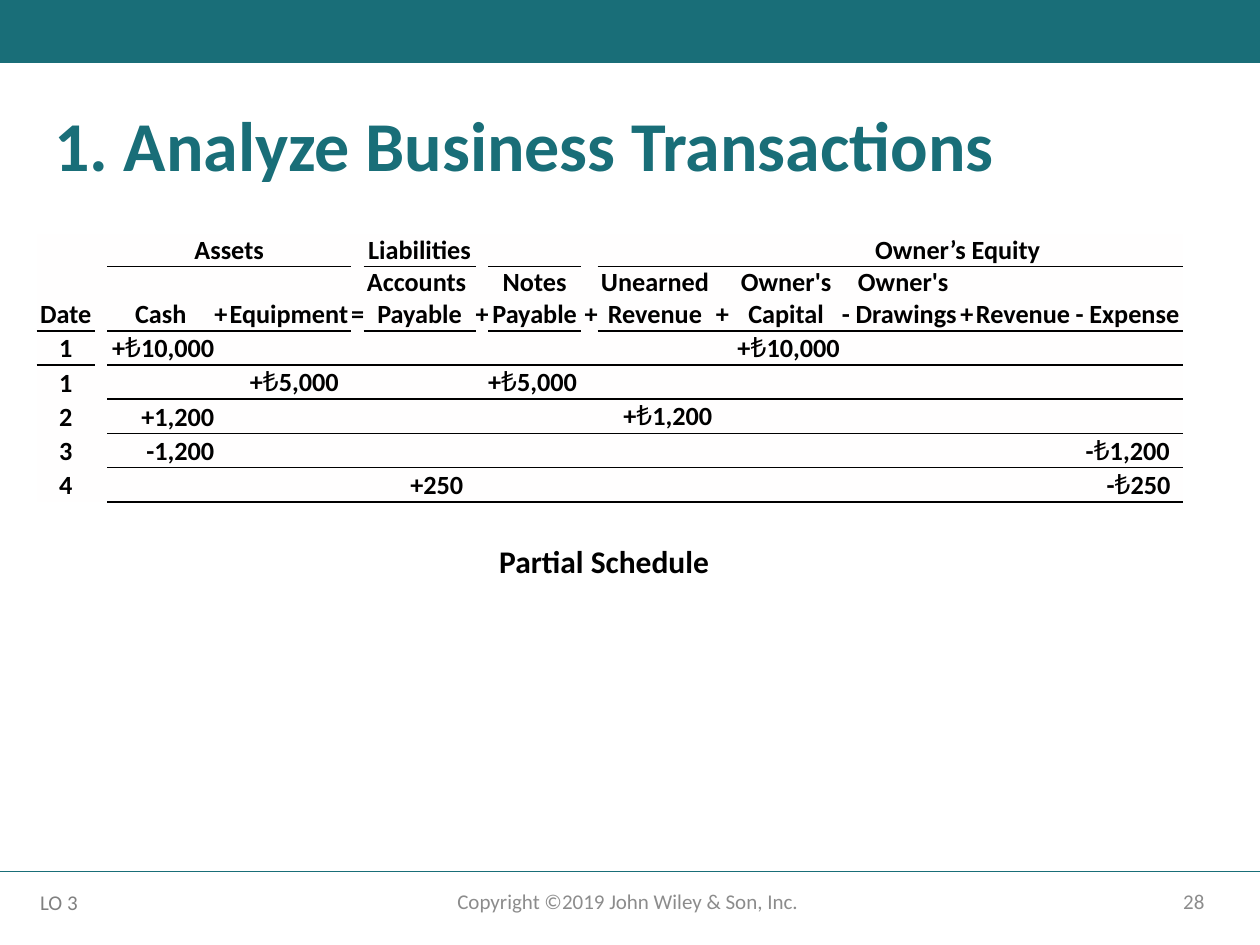
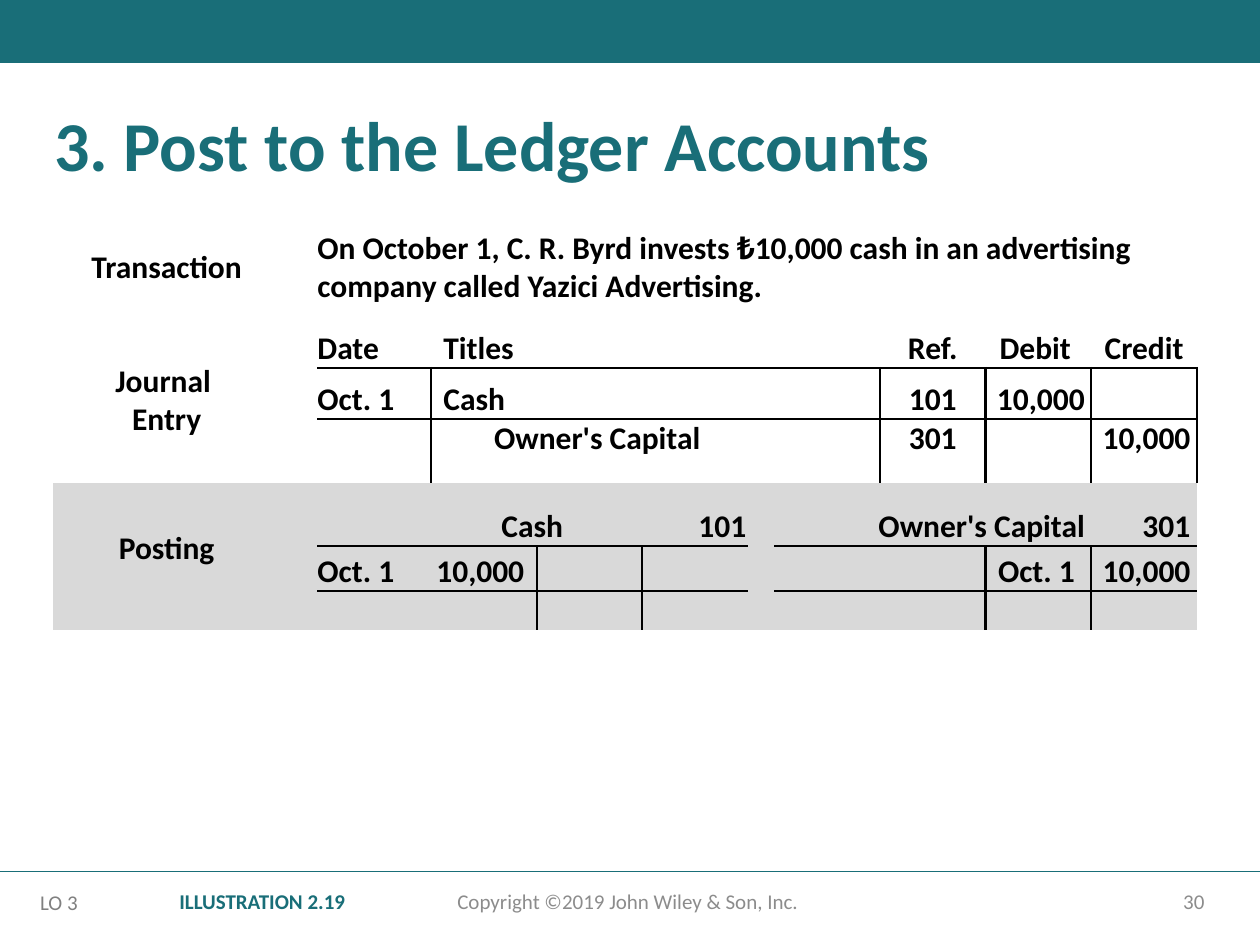
from lxml import etree
from pptx import Presentation
from pptx import util as u
from pptx.dml.color import RGBColor
from pptx.enum import shapes, text
from pptx.oxml.ns import qn

COLOURS = {
    "teal": "196E78",
    "black": "000000",
    "footer": "8C8C8C",
    "objective": "808080",
    "paper": "FFFEFE",
    "posting": "D9D9D9",
}
FONT = "Calibri"
NO_STYLE = "{2D5ABB26-0587-4C30-8999-92F81FD0307C}"
LEFT, CENTER, RIGHT = text.PP_ALIGN.LEFT, text.PP_ALIGN.CENTER, text.PP_ALIGN.RIGHT
TOP, MIDDLE, BOTTOM = text.MSO_ANCHOR.TOP, text.MSO_ANCHOR.MIDDLE, text.MSO_ANCHOR.BOTTOM


def write(frame, words, size, colour="black", bold=True, align=LEFT):
    frame.word_wrap = True
    frame.text = words
    for paragraph in frame.paragraphs:
        paragraph.alignment = align
        paragraph.font.name = FONT
        paragraph.font.size = u.Pt(size)
        paragraph.font.bold = bold
        paragraph.font.color.rgb = RGBColor.from_string(COLOURS[colour])


def rule(cell, side, width):
    line = etree.Element(qn("a:ln" + side), w=str(u.Pt(width)))
    fill = etree.SubElement(line, qn("a:solidFill"))
    etree.SubElement(fill, qn("a:srgbClr"), val=COLOURS["black"])
    cell._tc.get_or_add_tcPr().insert(0, line)


presentation = Presentation()
presentation.slide_width = u.Cm(25.4)
presentation.slide_height = u.Cm(19.05)

pages = [
    ("1. Analyze Business Transactions", "28"),
    ("3. Post to the Ledger Accounts", "30"),
]
slides = []
for title, number in pages:
    slide = presentation.slides.add_slide(presentation.slide_layouts[6])
    slides.append(slide)

    band = slide.shapes.add_shape(
        shapes.MSO_SHAPE.RECTANGLE, 0, 0, presentation.slide_width, u.Cm(1.27))
    band.shadow.inherit = False
    band.fill.solid()
    band.fill.fore_color.rgb = RGBColor.from_string(COLOURS["teal"])
    band.line.fill.background()

    footer_line = slide.shapes.add_connector(
        shapes.MSO_CONNECTOR.STRAIGHT, 0, u.Cm(17.57), presentation.slide_width, u.Cm(17.57))
    footer_line.line.color.rgb = RGBColor.from_string(COLOURS["teal"])
    footer_line.line.width = u.Pt(1)
    etree.SubElement(footer_line._element.spPr, qn("a:effectLst"))

    labels = [
        (17.93, 17.65, 6.6, 1.02, number, 12, "footer", False, RIGHT, MIDDLE),
        (8.41, 17.65, 8.59, 1.02, "Copyright ©2019 John Wiley & Son, Inc. ",
         12, "footer", False, CENTER, MIDDLE),
        (0.56, 17.81, 1.42, 0.76, "LO 3", 12, "objective", False, LEFT, TOP),
        (0.84, 2.11, 24.56, 1.8, title, 40, "teal", True, LEFT, TOP),
    ]
    if number == "28":
        labels.append((8.05, 10.8, 8.26, 1.02, "Partial Schedule",
                       18, "black", True, CENTER, TOP))
    else:
        labels.append((2.97, 17.78, 4.24, 0.76, "ILLUSTRATION 2.19",
                       12, "teal", True, RIGHT, TOP))

    for left, top, width, height, words, size, colour, bold, align, anchor in labels:
        box = slide.shapes.add_textbox(u.Cm(left), u.Cm(top), u.Cm(width), u.Cm(height))
        frame = box.text_frame
        write(frame, words, size, colour, bold, align)
        frame.vertical_anchor = anchor
        if words == title:
            frame.paragraphs[0].line_spacing = 0.9
        if words == "LO 3":
            frame.margin_left = u.Cm(0.25)
            frame.margin_right = 0

schedule_columns = [1.17, 0.25, 2.16, 0.25, 2.51, 0.25, 2.26, 0.25, 1.88, 0.33,
                    2.31, 0.41, 2.16, 0.25, 2.18, 0.25, 2.03, 0.25, 1.96]
schedule_rows = [0.66, 1.3] + [0.69] * 5
schedule_merges = [(0, 2, 0, 4), (0, 12, 0, 18)]
schedule_text = {
    (0, 2): ("Assets", CENTER, 0),
    (0, 6): ("Liabilities", CENTER, 0),
    (0, 12): ("Owner’s Equity", CENTER, 0),
    (2, 2): ("+₺10,000", RIGHT, 0),
    (2, 12): ("+₺10,000", RIGHT, 0),
    (3, 4): ("+₺5,000", RIGHT, 0.25),
    (3, 8): ("+₺5,000", LEFT, 0),
    (4, 2): ("+1,200", RIGHT, 0),
    (4, 10): ("+₺1,200", RIGHT, 0),
    (5, 2): ("-1,200", RIGHT, 0),
    (5, 18): ("-₺1,200", LEFT, 0),
    (6, 6): ("+250", RIGHT, 0.25),
    (6, 18): ("-₺250", RIGHT, 0.25),
}
headings = ["Date", "", "Cash", "+", "Equipment", "=", "Accounts \nPayable", "+",
            "Notes\nPayable", "+", "Unearned\nRevenue", "+", "Owner's\nCapital", "-",
            "Owner's \nDrawings", "+", "Revenue", "-", "Expense"]
for column, heading in enumerate(headings):
    schedule_text[1, column] = (heading, RIGHT if column == 9 else CENTER, 0)
for row, date in enumerate("11234", start=2):
    schedule_text[row, 0] = (date, CENTER, 0)

schedule_tops = {(1, column) for column in [2, 3, 4, 6, 8, *range(10, 19)]}
schedule_tops |= {(2, column) for column in [*range(0, 19, 2), 11]}
schedule_tops |= {(row, column) for row in range(3, 7) for column in range(2, 19)}
schedule_tops -= {(2, 1)}

schedule = slides[0].shapes.add_table(
    len(schedule_rows), len(schedule_columns), u.Cm(0.74), u.Cm(4.71),
    u.Cm(sum(schedule_columns)), u.Cm(sum(schedule_rows))).table

ledger_columns = [4.6, 0.74, 2.29, 2.13, 2.13, 2.13, 0.53, 2.13, 2.13, 2.13, 2.13]
ledger_rows = [1.8, 1, 1.03, 1.28, 1.28, 0.9, 0.78]
ledger_merges = [(0, 2, 0, 10), (1, 0, 3, 0), (1, 3, 1, 7), (2, 3, 2, 7),
                 (3, 3, 3, 7), (4, 0, 5, 0), (4, 2, 4, 5), (4, 7, 4, 10)]
ledger_text = {
    (0, 0): ("Transaction", CENTER, MIDDLE, (0, 0, 0, 0.25)),
    (0, 2): ("On October 1, C. R. Byrd invests ₺10,000 cash in an advertising\v"
             "company called Yazici Advertising.", LEFT, MIDDLE, (0, 0, 0, 0.25)),
    (1, 0): ("Journal \nEntry", CENTER, MIDDLE, (0, 0.25, 0, 0.25)),
    (1, 2): ("Date", LEFT, BOTTOM, (0, 0, 0, 0)),
    (1, 3): ("Titles", LEFT, BOTTOM, (0.25, 0, 0, 0)),
    (1, 8): ("Ref.", CENTER, BOTTOM, (0, 0, 0, 0)),
    (1, 9): ("Debit", CENTER, BOTTOM, (0, 0, 0.13, 0)),
    (1, 10): ("Credit", CENTER, BOTTOM, (0, 0, 0, 0)),
    (2, 2): ("Oct. 1", LEFT, BOTTOM, (0, 0.25, 0, 0)),
    (2, 3): ("Cash", LEFT, BOTTOM, (0.25, 0.25, 0, 0)),
    (2, 8): ("101", CENTER, BOTTOM, (0, 0.25, 0, 0)),
    (2, 9): ("10,000", RIGHT, BOTTOM, (0, 0.25, 0.13, 0)),
    (3, 3): ("Owner's Capital", LEFT, BOTTOM, (1.27, 0, 0, 0.5)),
    (3, 8): ("301", CENTER, BOTTOM, (0, 0, 0, 0.5)),
    (3, 10): ("10,000", RIGHT, BOTTOM, (0, 0, 0.13, 0.5)),
    (4, 0): ("Posting", CENTER, MIDDLE, (0, 0.5, 0, 0)),
    (4, 2): ("Cash\t101", LEFT, BOTTOM, (3.71, 0.5, 0, 0)),
    (4, 7): ("Owner's Capital\t301", LEFT, BOTTOM, (2.1, 0.5, 0, 0)),
    (5, 2): ("Oct. 1", LEFT, BOTTOM, (0, 0, 0, 0)),
    (5, 3): ("10,000", RIGHT, BOTTOM, (0, 0, 0.25, 0)),
    (5, 9): ("Oct. 1", LEFT, BOTTOM, (0.25, 0, 0, 0)),
    (5, 10): ("10,000", RIGHT, BOTTOM, (0, 0, 0.13, 0)),
}
account_tabs = {(4, 2): 3.97, (4, 7): 5.32}
ledger_tops = {(2, column) for column in range(2, 11)}
ledger_tops |= {(5, column) for column in range(2, 11) if column != 6}
ledger_lefts = {(row, column) for row in (2, 3) for column in (3, 8, 9, 10)}
ledger_lefts |= {(row, column) for row in (5, 6) for column in (4, 9)}

ledger = slides[1].shapes.add_table(
    len(ledger_rows), len(ledger_columns), u.Cm(1.06), u.Cm(4.62),
    u.Cm(sum(ledger_columns)), u.Cm(sum(ledger_rows))).table

for table, columns, rows, merges in [
    (schedule, schedule_columns, schedule_rows, schedule_merges),
    (ledger, ledger_columns, ledger_rows, ledger_merges),
]:
    table.first_row = table.horz_banding = False
    table._tbl.tblPr.find(qn("a:tableStyleId")).text = NO_STYLE
    for column, width in enumerate(columns):
        table.columns[column].width = u.Cm(width)
    for row, height in enumerate(rows):
        table.rows[row].height = u.Cm(height)
    for first_row, first_column, last_row, last_column in merges:
        table.cell(first_row, first_column).merge(table.cell(last_row, last_column))

    for row in range(len(rows)):
        for column in range(len(columns)):
            cell = table.cell(row, column)
            place = (row, column)
            if table is schedule:
                words, align, right = schedule_text.get(place, ("", LEFT, 0))
                anchor, insets = BOTTOM, (0, 0, right, 0)
                size, fill = 15, "paper"
                tops, lefts, width = schedule_tops, set(), 1
            else:
                words, align, anchor, insets = ledger_text.get(
                    place, ("", LEFT, BOTTOM, (0, 0, 0, 0)))
                size, fill = (18 if words else 12), ("posting" if row > 3 else None)
                tops, lefts, width = ledger_tops, ledger_lefts, 1.5

            cell.margin_left, cell.margin_top, cell.margin_right, cell.margin_bottom = map(
                u.Cm, insets)
            cell.vertical_anchor = anchor
            if fill:
                cell.fill.solid()
                cell.fill.fore_color.rgb = RGBColor.from_string(COLOURS[fill])
            else:
                cell.fill.background()
            write(cell.text_frame, words, size, align=align)

            paragraph = cell.text_frame.paragraphs[0]
            if table is schedule and "₺" in words:
                paragraph.clear()
                for piece in words.partition("₺"):
                    run = paragraph.add_run()
                    run.text = piece
                    if piece == "₺":
                        run.font.size = u.Pt(16)
                        run.font.bold = False
            if table is ledger and place in account_tabs:
                stops = etree.Element(qn("a:tabLst"))
                etree.SubElement(stops, qn("a:tab"), pos=str(u.Cm(account_tabs[place])), algn="l")
                paragraph._p.get_or_add_pPr().insert(0, stops)

            if table is schedule and row == len(rows) - 1 and column > 1:
                rule(cell, "B", width)
            if place in tops:
                rule(cell, "T", width)
            if place in lefts:
                rule(cell, "L", width)

presentation.save("out.pptx")
